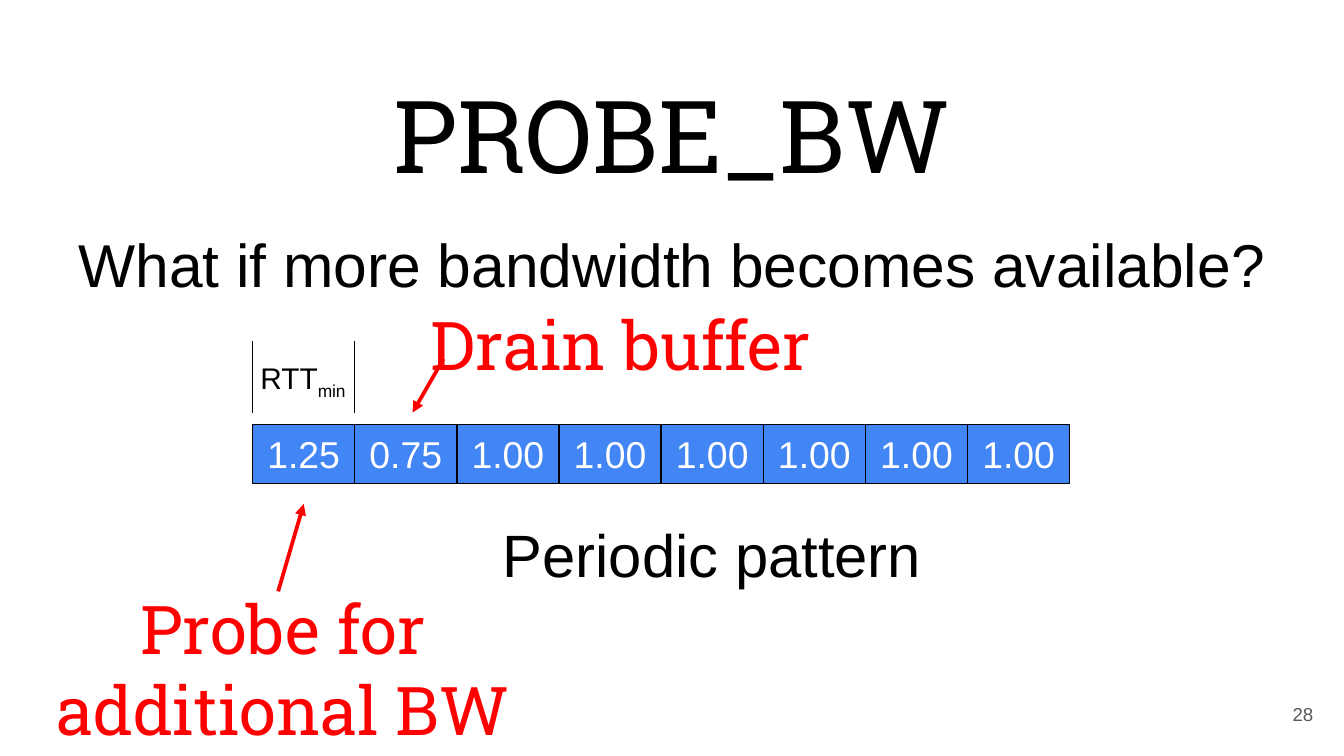
from dataclasses import dataclass

from lxml import etree
from pptx import Presentation
from pptx import util as u
from pptx.dml.color import RGBColor
from pptx.enum import shapes, text
from pptx.oxml.ns import qn


@dataclass(frozen=True)
class Theme:
    body: str = "Arial"
    slab: str = "Roboto Slab"
    black: str = "000000"
    white: str = "FFFFFF"
    blue: str = "4285F4"
    red: str = "FF0000"
    grey: str = "595959"
    heading: float = 54
    question: float = 32.4
    note: float = 36
    caption: float = 32
    cell: float = 20
    label: float = 16
    number: float = 10


def rgb(value):
    return RGBColor.from_string(value)


def write(sp, lines, size, font, color, align=text.PP_ALIGN.CENTER,
          anchor=text.MSO_ANCHOR.TOP, pad=0.05):
    tf = sp.text_frame
    tf.word_wrap = True
    tf.auto_size = text.MSO_AUTO_SIZE.NONE
    tf.vertical_anchor = anchor
    tf.margin_left = tf.margin_right = u.Inches(0.1)
    tf.margin_top = tf.margin_bottom = u.Inches(pad)
    for i, line in enumerate(lines.split("\n")):
        p = tf.add_paragraph() if i else tf.paragraphs[0]
        p.alignment = align
        add_run(p, line, size, font, color)
    return tf.paragraphs[-1]


def add_run(p, words, size, font, color):
    r = p.add_run()
    r.text = words
    r.font.size = u.Pt(size)
    r.font.name = font
    r.font.color.rgb = rgb(color)
    return r


class Deck:
    """Draws styled elements on the current slide."""

    def __init__(self, theme):
        self.t = theme
        self.prs = Presentation()
        self.prs.slide_width = u.Inches(10)
        self.prs.slide_height = self.prs.slide_width * 9 // 16
        self.s = self.prs.slides.add_slide(self.prs.slide_layouts[5])

    def title(self, words, box):
        sp = self.s.shapes.title
        sp.left, sp.top, sp.width, sp.height = map(u.Inches, box)
        write(sp, words, self.t.question, self.t.body, self.t.black,
              anchor=text.MSO_ANCHOR.BOTTOM, pad=0.1)

    def text(self, words, box, size, font=None, color=None, **fmt):
        sp = self.s.shapes.add_textbox(*map(u.Inches, box))
        return write(sp, words, size, font or self.t.body,
                     color or self.t.black, **fmt)

    def note(self, words, box):
        self.text(words, box, self.t.note, self.t.slab, self.t.red)

    def cells(self, values, left, top, width, height):
        group = self.s.shapes.add_group_shape()
        for i, value in enumerate(values):
            box = left + i * width, top, width, height
            sp = group.shapes.add_shape(shapes.MSO_SHAPE.RECTANGLE,
                                        *map(u.Inches, box))
            sp.shadow.inherit = False
            sp.fill.solid()
            sp.fill.fore_color.rgb = rgb(self.t.blue)
            sp.line.color.rgb = rgb(self.t.black)
            sp.line.width = u.Pt(0.75)
            write(sp, value, self.t.cell, self.t.body, self.t.white)

    def line(self, start, end, color, width):
        sp = self.s.shapes.add_connector(shapes.MSO_CONNECTOR.STRAIGHT,
                                         *map(u.Inches, start + end))
        sp.line.color.rgb = rgb(color)
        sp.line.width = u.Pt(width)
        etree.SubElement(sp._element.spPr, qn("a:effectLst"))
        return sp

    def arrow(self, start, end):
        sp = self.line(start, end, self.t.red, 2)
        etree.SubElement(sp.line._get_or_add_ln(), qn("a:tailEnd"),
                         type="triangle")


def main():
    t = Theme()
    deck = Deck(t)
    deck.title("What if more bandwidth becomes available?",
               (0.34, 1.47, 9.32, 0.86))
    deck.text("28", (9.27, 5.1, 0.6, 0.43), t.number, color=t.grey,
              align=text.PP_ALIGN.RIGHT, anchor=text.MSO_ANCHOR.MIDDLE,
              pad=0.1)
    deck.text("PROBE_BW", (0.18, 0.44, 9.64, 1.16), t.heading, t.slab, pad=0.1)

    left, width = 1.88, 0.76
    deck.cells(["1.25", "0.75"] + ["1.00"] * 6, left, 3.16, width, 0.44)
    deck.text("Periodic pattern", (3.18, 3.8, 4.24, 0.64), t.caption)

    p = deck.text("RTT", (1.79, 2.63, 0.93, 0.37), t.label)
    r = add_run(p, "min", t.label, t.body, t.black)
    r.font._element.set("baseline", "-25000")
    for x in (left, left + width):
        deck.line((x, 3.07), (x, 2.54), t.black, 0.75)

    deck.note("Probe for\nadditional BW", (0.06, 4.32, 4.09, 1.31))
    deck.arrow((2.07, 4.4), (2.26, 3.75))
    deck.note("Drain buffer", (3.07, 2.21, 3.1, 0.71))
    deck.arrow((3.3, 2.67), (3.07, 3.07))
    deck.prs.save("out.pptx")


if __name__ == "__main__":
    main()
